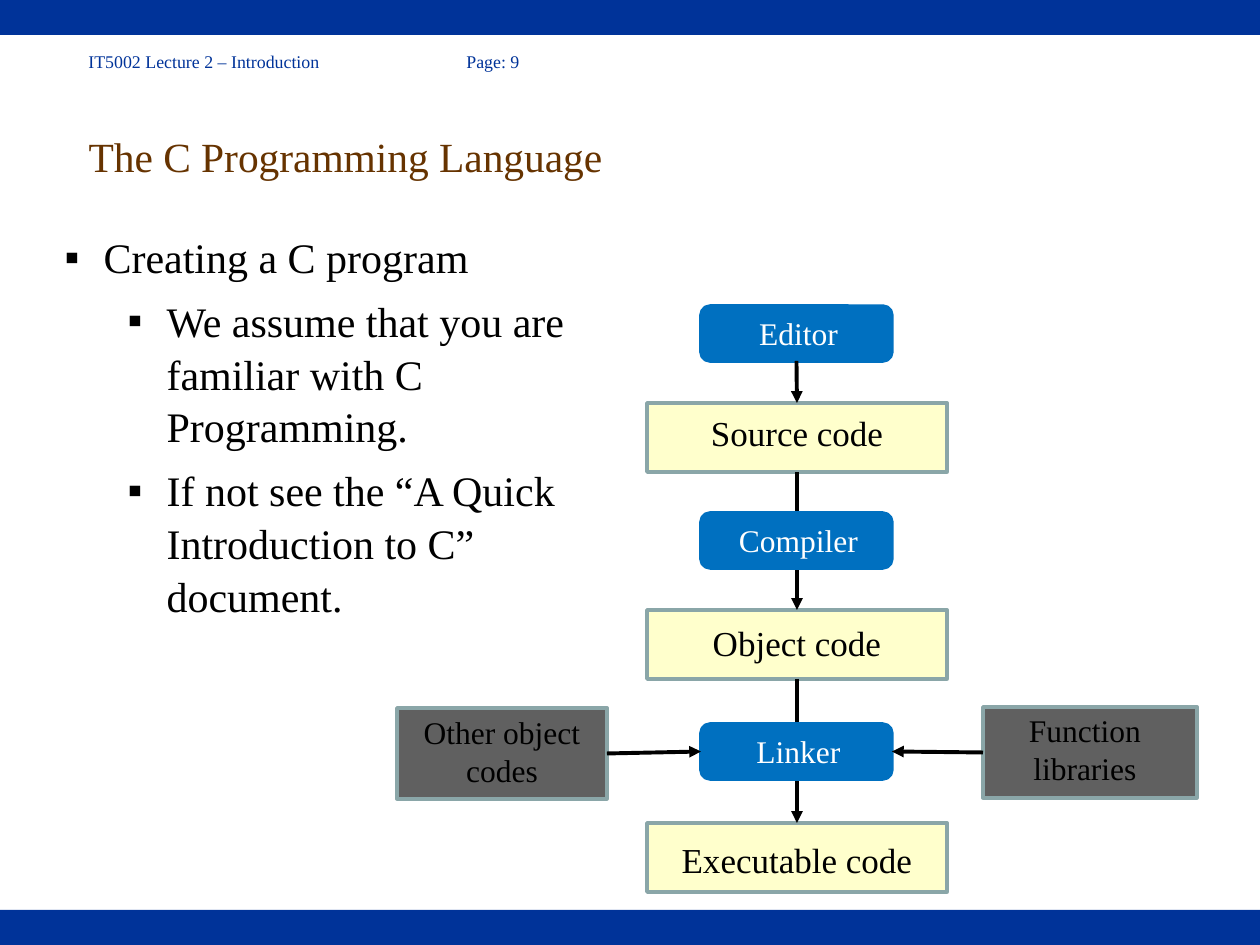
from lxml import etree
from pptx import Presentation
from pptx.dml.color import RGBColor
from pptx.enum.shapes import MSO_CONNECTOR, MSO_SHAPE
from pptx.enum.text import MSO_ANCHOR, MSO_AUTO_SIZE, PP_ALIGN
from pptx.oxml.ns import qn
from pptx.util import Pt

PX = 914400 / 126
PAGE_W, PAGE_H = 1260, 945
BAR_H = 35

RECT, ROUNDED = MSO_SHAPE.RECTANGLE, MSO_SHAPE.ROUNDED_RECTANGLE
STRAIGHT = MSO_CONNECTOR.STRAIGHT
LEFT, CENTER = PP_ALIGN.LEFT, PP_ALIGN.CENTER
TOP, MIDDLE = MSO_ANCHOR.TOP, MSO_ANCHOR.MIDDLE
NO_AUTOFIT = MSO_AUTO_SIZE.NONE
SIDE_TOP, SIDE_LEFT, SIDE_BOTTOM, SIDE_RIGHT = range(4)

FONT = "Times New Roman"
NAVY = RGBColor(0x00, 0x33, 0x99)
BROWN = RGBColor(0x66, 0x33, 0x00)
BLACK = RGBColor(0x00, 0x00, 0x00)
WHITE = RGBColor(0xFF, 0xFF, 0xFF)
CREAM = RGBColor(0xFF, 0xFF, 0xCC)
BLUE = RGBColor(0x00, 0x70, 0xC0)
GRAY = RGBColor(0x60, 0x60, 0x60)
EDGE = RGBColor(0x8A, 0xA6, 0xA8)

# Each node style: preset, fill, line, text colour, text size
PROCESS = (ROUNDED, BLUE, BLUE, WHITE, 18)
CODE = (RECT, CREAM, EDGE, BLACK, 20)
EXTRA = (RECT, GRAY, EDGE, BLACK, 18)


def emu(length):
    return round(length * PX)


def place(shape, box):
    for name, value in zip(("left", "top", "width", "height"), box):
        setattr(shape, name, emu(value))


def set_frame(shape, anchor=TOP):
    values = {"word_wrap": True, "auto_size": NO_AUTOFIT,
              "vertical_anchor": anchor}
    for name, value in values.items():
        setattr(shape.text_frame, name, value)


def write(para, text, size, color, align=LEFT):
    para.alignment = align
    span = para.add_run()
    span.text = text
    for name, value in {"name": FONT, "size": Pt(size)}.items():
        setattr(span.font, name, value)
    span.font.color.rgb = color


def add_block(shapes, preset, box, fill, line=None):
    block = shapes.add_shape(preset, *map(emu, box))
    block.shadow.inherit = False
    block.fill.solid()
    block.fill.fore_color.rgb = fill
    if line is None:
        block.line.fill.background()
    else:
        block.line.color.rgb = line
        block.line.width = Pt(2)
    return block


def add_text(shapes, box, text, size, color, align=LEFT):
    label = shapes.add_textbox(*map(emu, box))
    set_frame(label)
    write(label.text_frame.paragraphs[0], text, size, color, align)


def add_frame(page):
    """Bars at the page edges and the running header."""
    for top in (PAGE_H - BAR_H, 0):
        add_block(page.shapes, RECT, (0, top, PAGE_W, BAR_H), NAVY)
    add_text(page.shapes, (76, 44, 898, 34),
             "IT5002 Lecture 2 – Introduction\t\t\tPage: 9", 10.2, NAVY)


def add_title(page, box, text):
    title = page.shapes.title
    place(title, box)
    set_frame(title, MIDDLE)
    write(title.text_frame.paragraphs[0], text, 23.7, BROWN)


def add_bullets(page, box, items):
    body = page.placeholders[1]
    place(body, box)
    set_frame(body)
    for index, (level, text) in enumerate(items):
        frame = body.text_frame
        para = frame.add_paragraph() if index else frame.paragraphs[0]
        write(para, text, 24, BLACK)
        values = {"level": level, "line_spacing": 1.05,
                  "space_before": Pt(0), "space_after": Pt(6)}
        for name, value in values.items():
            setattr(para, name, value)
        # Square bullet with a hanging indent
        props = para._p.get_or_add_pPr()
        props.set("marL", str(emu(39 + 63 * level)))
        props.set("indent", str(-emu(39)))
        etree.SubElement(props, qn("a:buChar")).set("char", "▪")


def add_node(page, box, text, style, label_box):
    """Block with its label; label_box is relative to the block."""
    preset, fill, line, color, size = style
    group = page.shapes.add_group_shape()
    block = add_block(group.shapes, preset, box, fill, line)
    left, top, width, height = label_box
    add_text(group.shapes, (box[0] + left, box[1] + top, width, height),
             text, size, color, CENTER)
    return block


def add_arrow(page, start, start_side, end, end_side):
    arrow = page.shapes.add_connector(STRAIGHT, 0, 0, 0, 0)
    arrow.begin_connect(start, start_side)
    arrow.end_connect(end, end_side)
    arrow.line.color.rgb = BLACK
    arrow.line.width = Pt(2.25)
    etree.SubElement(arrow.line._get_or_add_ln(),
                     qn("a:tailEnd")).set("type", "triangle")
    etree.SubElement(arrow._element.spPr, qn("a:effectLst"))


def add_flow(page, box):
    """Build chain from editor to executable, with the linker's inputs."""
    left, top, width, _ = box
    code_w, process_w = 300, 191
    code_x = left + (width - code_w) // 2
    process_x = left + (width - process_w) // 2

    def code(offset, text, label_top):
        return add_node(page, (code_x, top + offset, code_w, 69), text, CODE,
                        (0, label_top, code_w, 55))

    def process(offset, text):
        return add_node(page, (process_x, top + offset, process_w, 55), text,
                        PROCESS, (13, 2, 169, 50))

    # Code stages, then arrows that pass behind the tools
    source = code(97, "Source code", 2)
    target = code(304, "Object code", 5)
    program = code(517, "Executable code", 9)
    for start, end in ((source, target), (target, program)):
        add_arrow(page, start, SIDE_BOTTOM, end, SIDE_TOP)

    # Tools
    editor = process(0, "Editor")
    process(207, "Compiler")
    linker = process(418, "Linker")
    add_arrow(page, editor, SIDE_BOTTOM, source, SIDE_TOP)

    # Inputs to the linker
    objects = add_node(page, (left, top + 402, 210, 91),
                       "Other object codes", EXTRA, (0, -1, 210, 89))
    libraries = add_node(page, (left + width - 214, top + 401, 214, 91),
                         "Function libraries", EXTRA, (1, -2, 202, 89))
    add_arrow(page, objects, SIDE_RIGHT, linker, SIDE_LEFT)
    add_arrow(page, libraries, SIDE_LEFT, linker, SIDE_RIGHT)


def main():
    deck = Presentation()
    deck.slide_width, deck.slide_height = emu(PAGE_W), emu(PAGE_H)
    page = deck.slides.add_slide(deck.slide_layouts[1])
    add_frame(page)
    add_title(page, (76, 77, 898, 158), "The C Programming Language")
    add_bullets(page, (52, 223, 556, 391), [
        (0, "Creating a C program"),
        (1, "We assume that you are familiar with C Programming."),
        (1, "If not see the “A Quick Introduction to C” document."),
    ])
    add_flow(page, (397, 306, 800, 586))
    deck.save("out.pptx")


if __name__ == "__main__":
    main()
